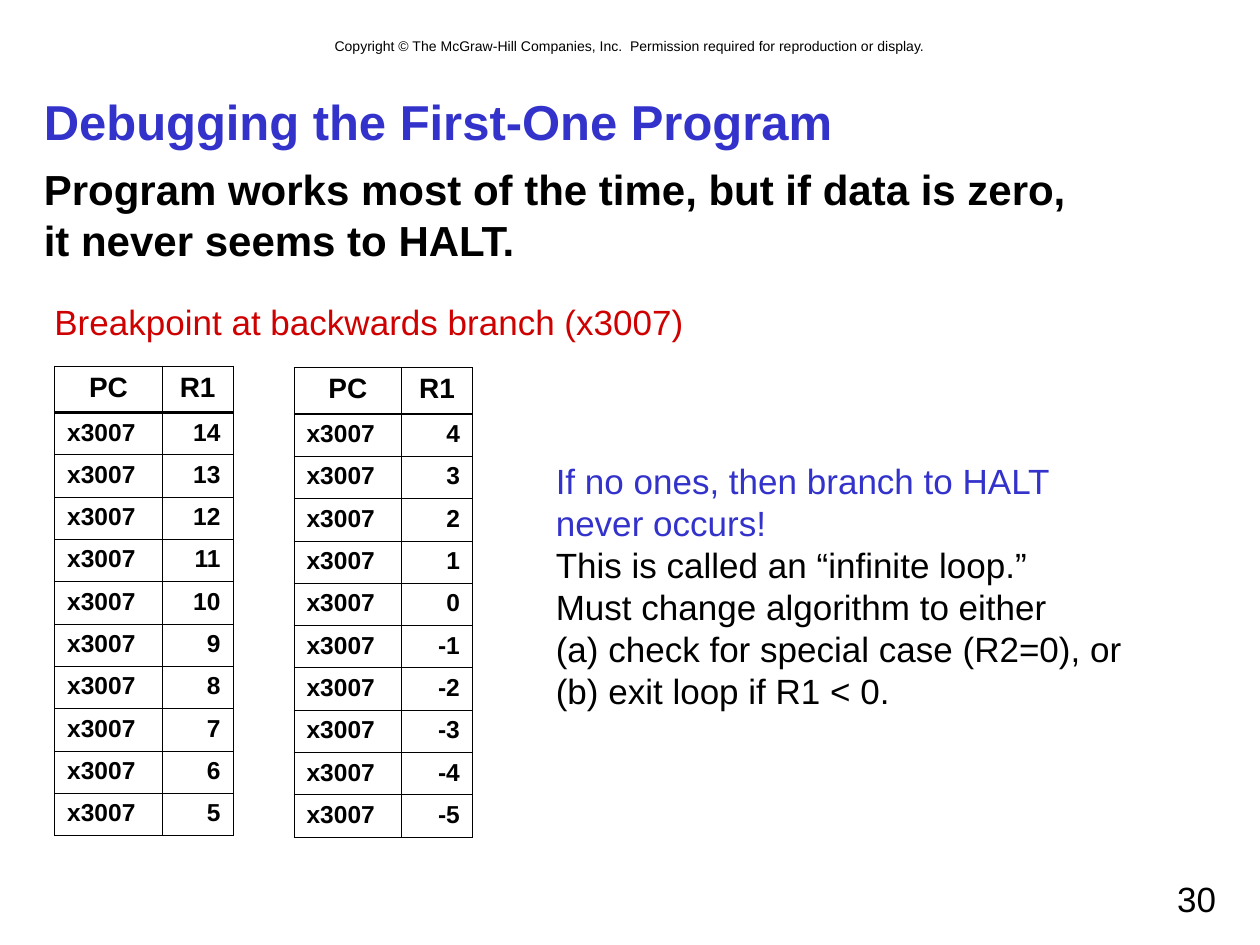
from lxml.etree import SubElement
from pptx import Presentation
from pptx.dml.color import RGBColor
from pptx.enum.text import (MSO_ANCHOR as Anchor, MSO_AUTO_SIZE as AutoSize,
                            PP_ALIGN as Align)
from pptx.oxml.ns import qn
from pptx.util import Inches, Pt

CELL = Inches(1) / 12  # the slide is a grid of 120 columns by 90 rows
BLACK, BLUE, RED = "000000", "3333CC", "CE0000"
THIN, THICK = 0.45, 1.47


def grid(*lengths):
    return [round(length * CELL) for length in lengths]


def color(hex_string):
    return RGBColor.from_string(hex_string)


def style(para, size, hex_string=BLACK, bold=False, align=Align.LEFT):
    para.alignment = align
    values = {"name": "Arial", "size": Pt(size), "bold": bold}
    for span in para.runs:
        for name, value in values.items():
            setattr(span.font, name, value)
        span.font.color.rgb = color(hex_string)


def add_text(page, box, lines, size, wrap=True, anchor=Anchor.TOP, **look):
    """Place paragraphs, given as (text, colour) pairs, in a text box."""
    frame = page.shapes.add_textbox(*grid(*box)).text_frame
    frame.word_wrap = wrap
    frame.auto_size = AutoSize.NONE if wrap else AutoSize.SHAPE_TO_FIT_TEXT
    frame.vertical_anchor = anchor
    for index, (text, hex_string) in enumerate(lines):
        para = frame.add_paragraph() if index else frame.paragraphs[0]
        para.text = text
        style(para, size, hex_string, **look)


def add_borders(cell, top, bottom):
    props = cell._tc.get_or_add_tcPr()
    for side, width in {"L": THIN, "R": THIN, "T": top, "B": bottom}.items():
        line = SubElement(props, qn(f"a:ln{side}"), w=str(Pt(width)))
        fill = SubElement(line, qn("a:solidFill"))
        SubElement(fill, qn("a:srgbClr"), val=BLACK)


def add_trace(page, left, top, values):
    """Place a table of R1 values seen at the breakpoint."""
    rows = [("PC", "R1")] + [("x3007", str(value)) for value in values]
    widths, heights = (10.25, 6.75), [4.43] + [4.03] * len(values)
    box = grid(left, top, sum(widths), sum(heights))
    table = page.shapes.add_table(len(rows), len(widths), *box).table
    table.first_row = table.horz_banding = False
    for column, width in zip(table.columns, grid(*widths)):
        column.width = width
    for row, height in zip(table.rows, grid(*heights)):
        row.height = height
    for r, row in enumerate(rows):
        for c, text in enumerate(row):
            cell = table.cell(r, c)
            cell.text = text
            align = (Align.LEFT, Align.RIGHT)[c] if r else Align.CENTER
            style(cell.text_frame.paragraphs[0], 14 if r else 16,
                  bold=True, align=align)
            add_borders(cell, THICK if r == 1 else THIN,
                        THIN if r else THICK)
            cell.fill.background()


def add_heading(page):
    add_text(page, (8, 3, 104, 2.9),
             [("Copyright © The McGraw-Hill Companies, Inc.  "
               "Permission required for reproduction or display.", BLACK)],
             8, align=Align.CENTER)
    add_text(page, (3, 8, 114, 7),
             [("Debugging the First-One Program", BLUE)],
             28, anchor=Anchor.MIDDLE, bold=True)
    add_text(page, (3, 15, 114, 16),
             [("Program works most of the time, but if data is zero,\n"
               "it never seems to HALT.", BLACK)], 24, bold=True)


def add_traces(page):
    add_text(page, (4, 28, 62.4, 5.3),
             [("Breakpoint at backwards branch (x3007)", RED)],
             20, wrap=False)
    add_trace(page, 5.2, 34.85, range(14, 4, -1))
    add_trace(page, 28, 35, range(4, -6, -1))


def add_conclusion(page):
    add_text(page, (51.75, 43.2, 56.3, 25.2),
             [("If no ones, then branch to HALT\nnever occurs!", BLUE),
              ("This is called an “infinite loop.”", BLACK),
              ("Must change algorithm to either\n"
               "(a) check for special case (R2=0), or\n"
               "(b) exit loop if R1 < 0.", BLACK)], 20, wrap=False)


def main():
    deck = Presentation()
    deck.slide_width, deck.slide_height = grid(120, 90)
    page = deck.slides.add_slide(deck.slide_layouts[6])
    add_heading(page)
    add_traces(page)
    add_conclusion(page)
    add_text(page, (86, 83, 31, 5), [("30", BLACK)], 20, align=Align.RIGHT)
    deck.save("out.pptx")


if __name__ == "__main__":
    main()
